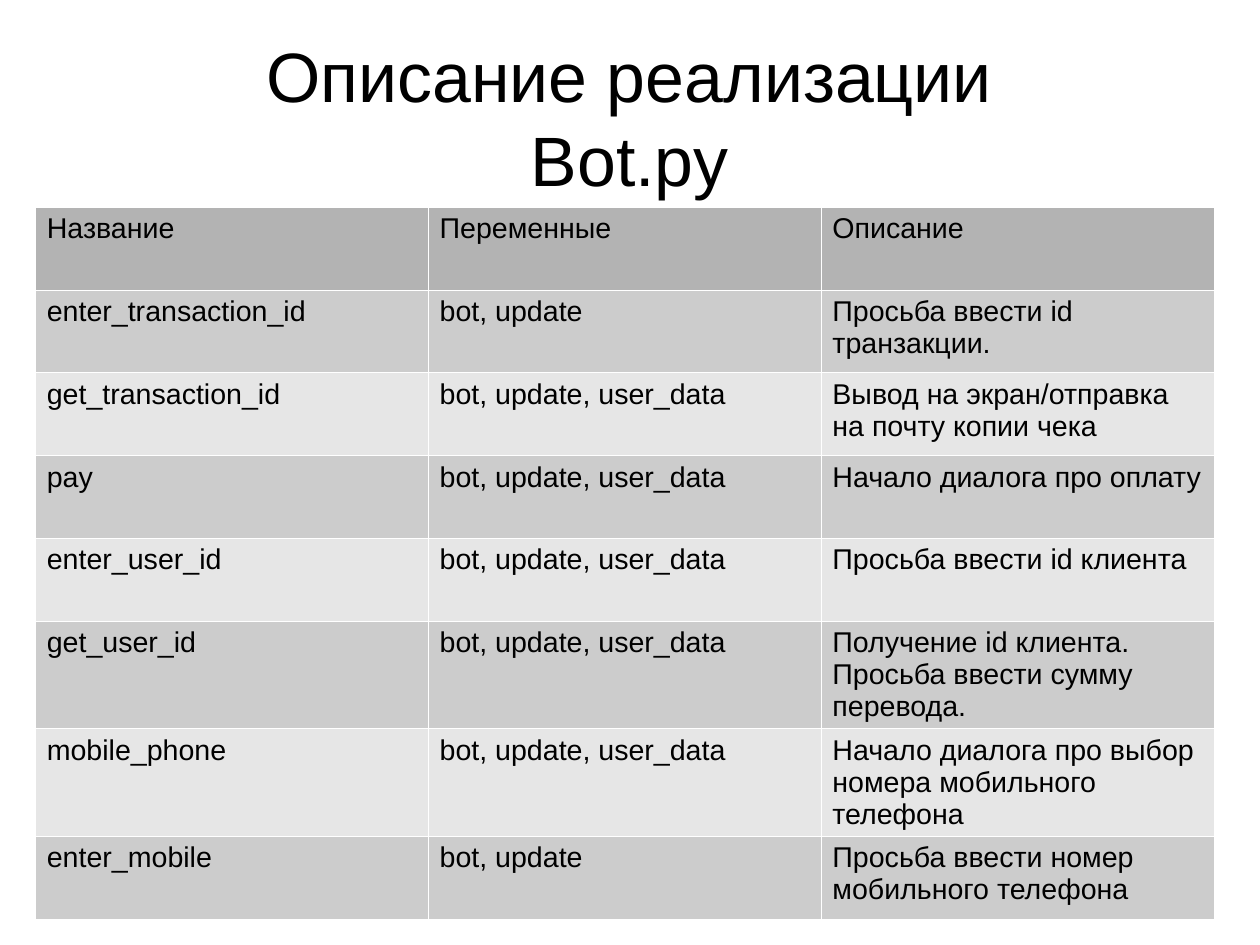
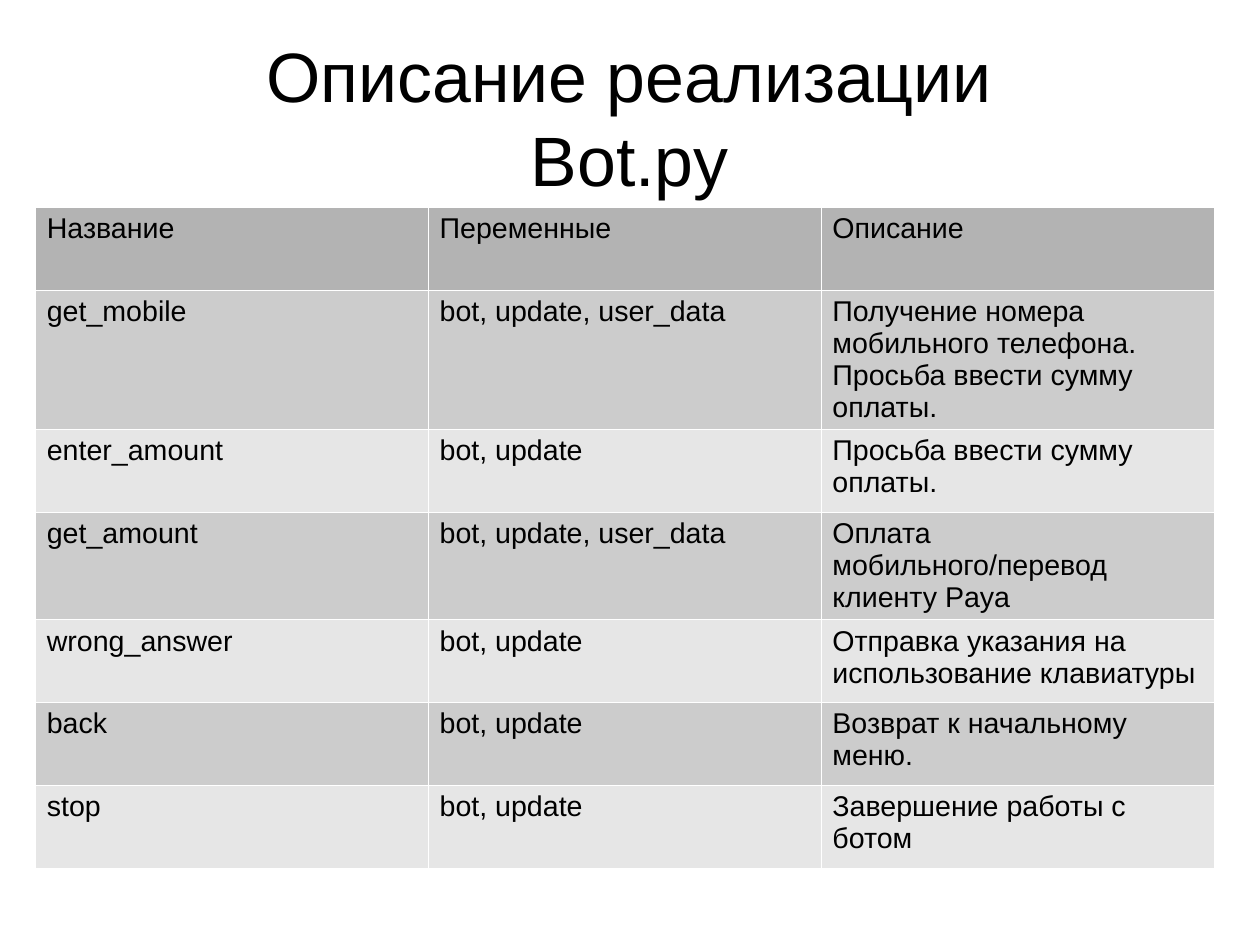
from lxml.etree import SubElement
from pptx import Presentation
from pptx.dml.color import RGBColor
from pptx.enum.text import MSO_ANCHOR, MSO_AUTO_SIZE, PP_ALIGN
from pptx.oxml.ns import qn
from pptx.util import Inches, Pt

FONT = "Arial"
BLACK = RGBColor(0x00, 0x00, 0x00)
WHITE = RGBColor(0xFF, 0xFF, 0xFF)
HEADER_GREY = RGBColor(0xB3, 0xB3, 0xB3)
BAND_GREYS = (RGBColor(0xCC, 0xCC, 0xCC), RGBColor(0xE6, 0xE6, 0xE6))

CM_PER_INCH = 2.54
SLIDE_WIDTH = Inches(28 / CM_PER_INCH)
SLIDE_HEIGHT = Inches(21 / CM_PER_INCH)
TITLE_ONLY_LAYOUT = 5
TITLE_BOX = (Inches(0.55), Inches(0.33), Inches(9.92), Inches(1.38))
TABLE_LEFT, TABLE_TOP, TABLE_WIDTH = Inches(0.31), Inches(1.81), Inches(10.31)
ROW_HEIGHT = Inches(5.8) // 8
BORDER_WIDTH = Pt(0.06)

TITLE_LINES = ("Описание реализации", "Bot.py")
HEADER = ("Название", "Переменные", "Описание")
BOT = "bot, update"
BOT_USER = "bot, update, user_data"

TRANSFER_FUNCTIONS = [
    ("enter_transaction_id", BOT, "Просьба ввести id транзакции."),
    ("get_transaction_id", BOT_USER, "Вывод на экран/отправка на почту копии чека"),
    ("pay", BOT_USER, "Начало диалога про оплату"),
    ("enter_user_id", BOT_USER, "Просьба ввести id клиента"),
    ("get_user_id", BOT_USER, "Получение id клиента. Просьба ввести сумму перевода."),
    ("mobile_phone", BOT_USER, "Начало диалога про выбор номера мобильного телефона"),
    ("enter_mobile", BOT, "Просьба ввести номер мобильного телефона"),
]
PAYMENT_FUNCTIONS = [
    ("get_mobile", BOT_USER,
     "Получение номера мобильного телефона. Просьба ввести сумму оплаты."),
    ("enter_amount", BOT, "Просьба ввести сумму оплаты."),
    ("get_amount", BOT_USER, "Оплата мобильного/перевод клиенту Paya"),
    ("wrong_answer", BOT, "Отправка указания на использование клавиатуры"),
    ("back", BOT, "Возврат к начальному меню."),
    ("stop", BOT, "Завершение работы с ботом"),
]


def add_run(paragraph, text, size):
    run = paragraph.add_run()
    run.text = text
    run.font.name = FONT
    run.font.size = Pt(size)
    run.font.bold = False
    run.font.color.rgb = BLACK


def fill_title(title, box):
    title.left, title.top, title.width, title.height = box
    frame = title.text_frame
    frame.word_wrap = True
    frame.auto_size = MSO_AUTO_SIZE.NONE
    frame.vertical_anchor = MSO_ANCHOR.MIDDLE
    frame.margin_left = frame.margin_right = 0
    frame.margin_top = frame.margin_bottom = 0
    for index, line in enumerate(TITLE_LINES):
        paragraph = frame.add_paragraph() if index else frame.paragraphs[0]
        paragraph.alignment = PP_ALIGN.CENTER
        add_run(paragraph, line, 44)


def add_borders(cell):
    properties = cell._tc.get_or_add_tcPr()
    for side in ("a:lnL", "a:lnR", "a:lnT", "a:lnB"):
        line = SubElement(properties, qn(side), w=str(BORDER_WIDTH))
        fill = SubElement(line, qn("a:solidFill"))
        SubElement(fill, qn("a:srgbClr"), val=str(WHITE))


def format_cell(cell, text, color):
    add_borders(cell)
    cell.fill.solid()
    cell.fill.fore_color.rgb = color
    cell.margin_left = cell.margin_right = Inches(0.1)
    cell.margin_top = cell.margin_bottom = Inches(0.05)
    add_run(cell.text_frame.paragraphs[0], text, 18)


def add_function_table(slide, left, top, width, functions):
    rows = [HEADER, *functions]
    table = slide.shapes.add_table(
        len(rows), len(HEADER), left, top, width, ROW_HEIGHT * len(rows)
    ).table
    table.first_row = False
    table.horz_banding = False
    for row_index, row in enumerate(rows):
        color = BAND_GREYS[(row_index - 1) % 2] if row_index else HEADER_GREY
        for column_index, text in enumerate(row):
            format_cell(table.cell(row_index, column_index), text, color)


def add_function_slide(presentation, functions):
    layout = presentation.slide_layouts[TITLE_ONLY_LAYOUT]
    slide = presentation.slides.add_slide(layout)
    fill_title(slide.shapes.title, TITLE_BOX)
    add_function_table(slide, TABLE_LEFT, TABLE_TOP, TABLE_WIDTH, functions)


def main():
    presentation = Presentation()
    presentation.slide_width = SLIDE_WIDTH
    presentation.slide_height = SLIDE_HEIGHT
    for functions in (TRANSFER_FUNCTIONS, PAYMENT_FUNCTIONS):
        add_function_slide(presentation, functions)
    presentation.save("out.pptx")


if __name__ == "__main__":
    main()
